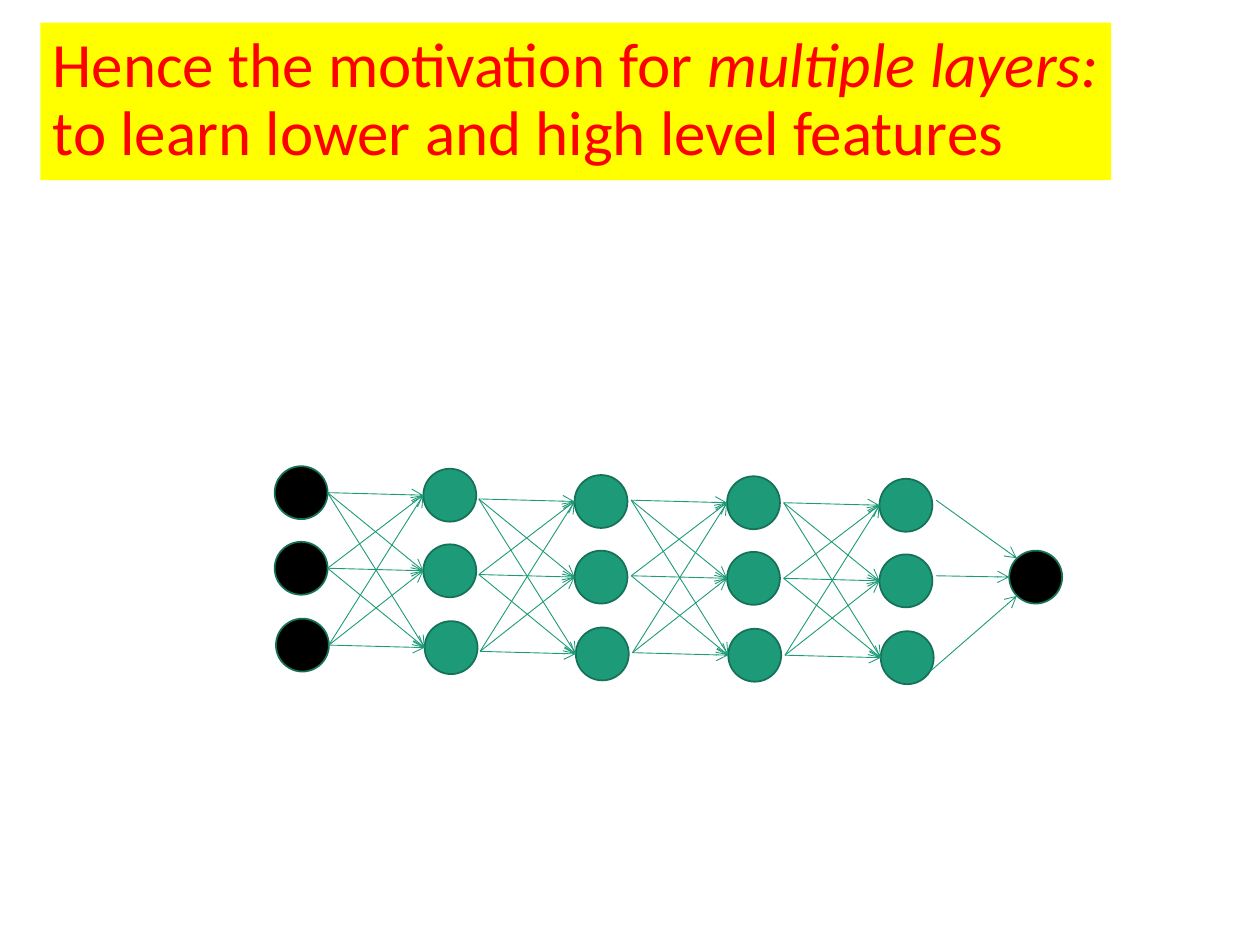
from lxml import etree
from pptx import Presentation
from pptx.dml.color import RGBColor
from pptx.enum.shapes import MSO_CONNECTOR, MSO_SHAPE
from pptx.enum.text import MSO_ANCHOR
from pptx.oxml.ns import qn
from pptx.util import Pt

OVAL = MSO_SHAPE.OVAL
STRAIGHT = MSO_CONNECTOR.STRAIGHT
MIDDLE = MSO_ANCHOR.MIDDLE

COLORS = {name: RGBColor.from_string(value) for name, value in {
    "banner": "FFFF00", "title": "FF0000", "visible": "000000",
    "hidden": "1D9A78", "outline": "157259", "link": "1D9A78",
}.items()}

DIAMETER = 30.24
RADIUS = DIAMETER / 2
LINK_DX, LINK_DY = 54.72, 1.44
ROWS = [(0, 0), (0, 43.2), (0.72, 87.12)]
LAYERS = [(156.96, 266.4), (241.92, 267.84), (328.32, 271.44),
          (415.44, 272.16), (502.56, 273.6)]

prs = Presentation()
prs.slide_width, prs.slide_height = Pt(720), Pt(540)
s = prs.slides.add_slide(prs.slide_layouts[6])


def add_neuron(x, y, fill):
    sp = s.shapes.add_shape(OVAL, Pt(x), Pt(y), Pt(DIAMETER), Pt(DIAMETER))
    sp.shadow.inherit = False
    sp.fill.solid()
    sp.fill.fore_color.rgb = COLORS[fill]
    sp.line.color.rgb = COLORS["outline"]
    sp.line.width = Pt(1)


def add_link(x1, y1, x2, y2):
    cx = s.shapes.add_connector(STRAIGHT, Pt(x1), Pt(y1), Pt(x2), Pt(y2))
    cx.line.color.rgb = COLORS["link"]
    cx.line.width = Pt(0.5)
    etree.SubElement(cx.line._get_or_add_ln(), qn("a:tailEnd"), type="arrow")
    etree.SubElement(cx._element.spPr, qn("a:effectLst"))


# Title banner
tb = s.shapes.add_textbox(Pt(23.04), Pt(12.96), Pt(612), Pt(90))
tb.fill.solid()
tb.fill.fore_color.rgb = COLORS["banner"]
tf = tb.text_frame
tf.word_wrap = True
tf.vertical_anchor = MIDDLE
p = tf.paragraphs[0]
p.line_spacing = 0.9
for text, italic in [("Hence the motivation for ", False),
                     ("multiple layers: ", True),
                     ("to learn lower and high level features", False)]:
    r = p.add_run()
    r.text = text
    r.font.name = "Calibri"
    r.font.size = Pt(36)
    r.font.italic = italic
    r.font.color.rgb = COLORS["title"]

# Input layer and four hidden layers, each fully linked to the one before
for i, (left, top) in enumerate(LAYERS):
    for dx, dy in ROWS:
        add_neuron(left + dx, top + dy, "hidden" if i else "visible")
    if i == 0:
        continue
    for from_dx, from_dy in ROWS:
        for to_dx, to_dy in ROWS:
            add_link(left + from_dx - LINK_DX, top + from_dy + RADIUS - LINK_DY,
                     left + to_dx, top + to_dy + RADIUS)

# Output neuron
add_neuron(576.72, 314.64, "visible")
for link in [(534.96, 285.84, 581.04, 318.96),
             (534.96, 329.04, 576.72, 329.76),
             (531.36, 383.76, 581.04, 340.56)]:
    add_link(*link)

prs.save("out.pptx")
